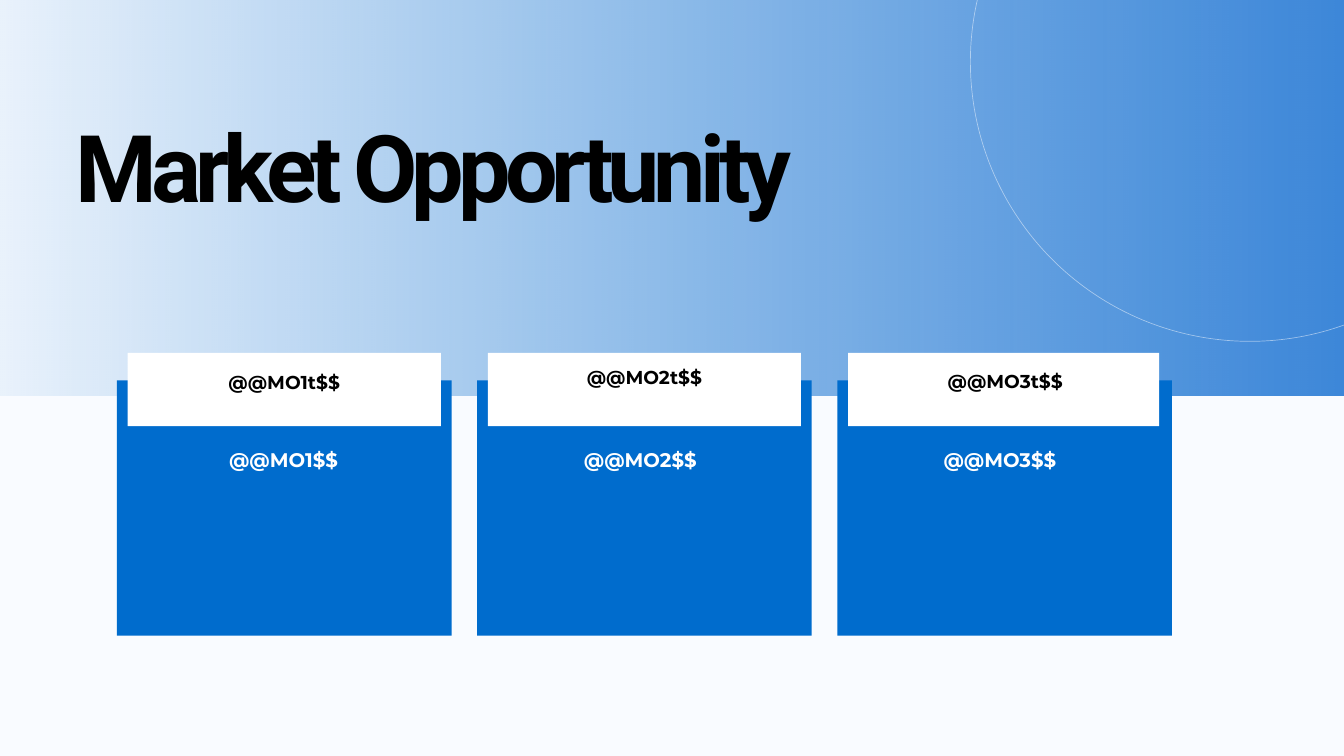
from pptx import Presentation
from pptx.dml.color import RGBColor
from pptx.enum.shapes import MSO_SHAPE
from pptx.enum.text import MSO_ANCHOR, MSO_AUTO_SIZE, PP_ALIGN
from pptx.oxml.ns import qn
from pptx.oxml.xmlchemy import OxmlElement
from pptx.util import Pt

RECTANGLE, OVAL = MSO_SHAPE.RECTANGLE, MSO_SHAPE.OVAL
LEFT, CENTER = PP_ALIGN.LEFT, PP_ALIGN.CENTER
TOP, GROW = MSO_ANCHOR.TOP, MSO_AUTO_SIZE.SHAPE_TO_FIT_TEXT

PX = 9144  # 100 px to the inch
THEME = {
    "paper": RGBColor.from_string("F9FBFF"),
    "blue": RGBColor.from_string("006CCD"),
    "band_end": RGBColor.from_string("2376D4"),
    "white": RGBColor.from_string("FFFFFF"),
    "black": RGBColor.from_string("000000"),
    "title": {"name": "Roboto", "size": Pt(100), "bold": True},
    "heading": {"name": "Montserrat", "size": Pt(20), "bold": True},
    "body": {"name": "Montserrat", "size": Pt(21.1), "bold": True},
}


def add_plain_shape(kind, box, color=None):
    """Add a shape without line or shadow; without a color it has no fill."""
    shape = slide.shapes.add_shape(kind, *(value * PX for value in box))
    shape.shadow.inherit = False
    shape.line.fill.background()
    if color is None:
        shape.fill.background()
    else:
        shape.fill.solid()
        shape.fill.fore_color.rgb = color
    return shape


def write_text(shape, box, text, style, color, spacing, alignment=CENTER):
    shape.left, shape.top, shape.width, shape.height = (value * PX for value in box)
    frame_format = {
        "margin_left": 0, "margin_top": 0, "margin_right": 0, "margin_bottom": 0,
        "word_wrap": True, "vertical_anchor": TOP, "auto_size": GROW,
    }
    for name, value in frame_format.items():
        setattr(shape.text_frame, name, value)
    paragraph = shape.text_frame.paragraphs[0]
    paragraph.alignment = alignment
    paragraph.line_spacing = Pt(spacing)
    run = paragraph.add_run()
    run.text = text
    for name, value in THEME[style].items():
        setattr(run.font, name, value)
    run.font.color.rgb = color
    return run


presentation = Presentation()
presentation.slide_width, presentation.slide_height = 2000 * PX, 1125 * PX
slide = presentation.slides.add_slide(presentation.slide_layouts[5])
slide.background.fill.solid()
slide.background.fill.fore_color.rgb = THEME["paper"]

# Header band, fading in from the left
band = add_plain_shape(RECTANGLE, (-162, 0, 2505, 588))
band.fill.gradient()
band.fill.gradient_angle = 0
for stop, color, position in zip(
    band.fill.gradient_stops, (THEME["blue"], THEME["band_end"]), (0, 1)
):
    stop.color.rgb = color
    stop.position = position

# Title, in front of the band
title = slide.shapes.title
slide.shapes._spTree.append(title._element)
title_run = write_text(
    title, (112, 198, 1369, 140), "Market Opportunity", "title", THEME["black"], 94, LEFT
)
title_run.font._element.set("spc", "-640")

# Cards: tab width, heading box, heading spacing, body left and width
cards = [
    (466, (198, 536, 450, 44), 35.1, 189, 466),
    (466, (737, 529, 444, 96), 35.3, 728, 450),
    (463, (1278, 531, 436, 103), 37.6, 1262, 452),
]
CARD_LEFT, CARD_STEP = 174, 536
for index, (tab_width, heading_box, spacing, body_left, body_width) in enumerate(cards):
    left = CARD_LEFT + index * CARD_STEP
    number = index + 1
    add_plain_shape(RECTANGLE, (left, 566, 498, 380), THEME["blue"])
    add_plain_shape(RECTANGLE, (left + 16, 525, tab_width, 109), THEME["white"])
    heading = slide.shapes.add_textbox(0, 0, 0, 0)
    write_text(heading, heading_box, f"@@MO{number}t$$", "heading", THEME["black"], spacing)
    body = slide.shapes.add_textbox(0, 0, 0, 0)
    body_box = (body_left, 661, body_width, 81)
    write_text(body, body_box, f"@@MO{number}$$", "body", THEME["white"], 29.5)

# Thin ring in the upper right corner
ring = add_plain_shape(OVAL, (1444, -324, 832, 832))
ring.line.color.rgb = THEME["paper"]
ring.line.width = Pt(0.75)

# Transparency of the band's first stop and of the ring's line
for shape, opacity in ((band, 0), (ring, 50)):
    alpha = OxmlElement("a:alpha")
    alpha.set("val", str(opacity * 1000))
    shape._element.spPr.find(".//" + qn("a:srgbClr")).append(alpha)

presentation.save("out.pptx")
